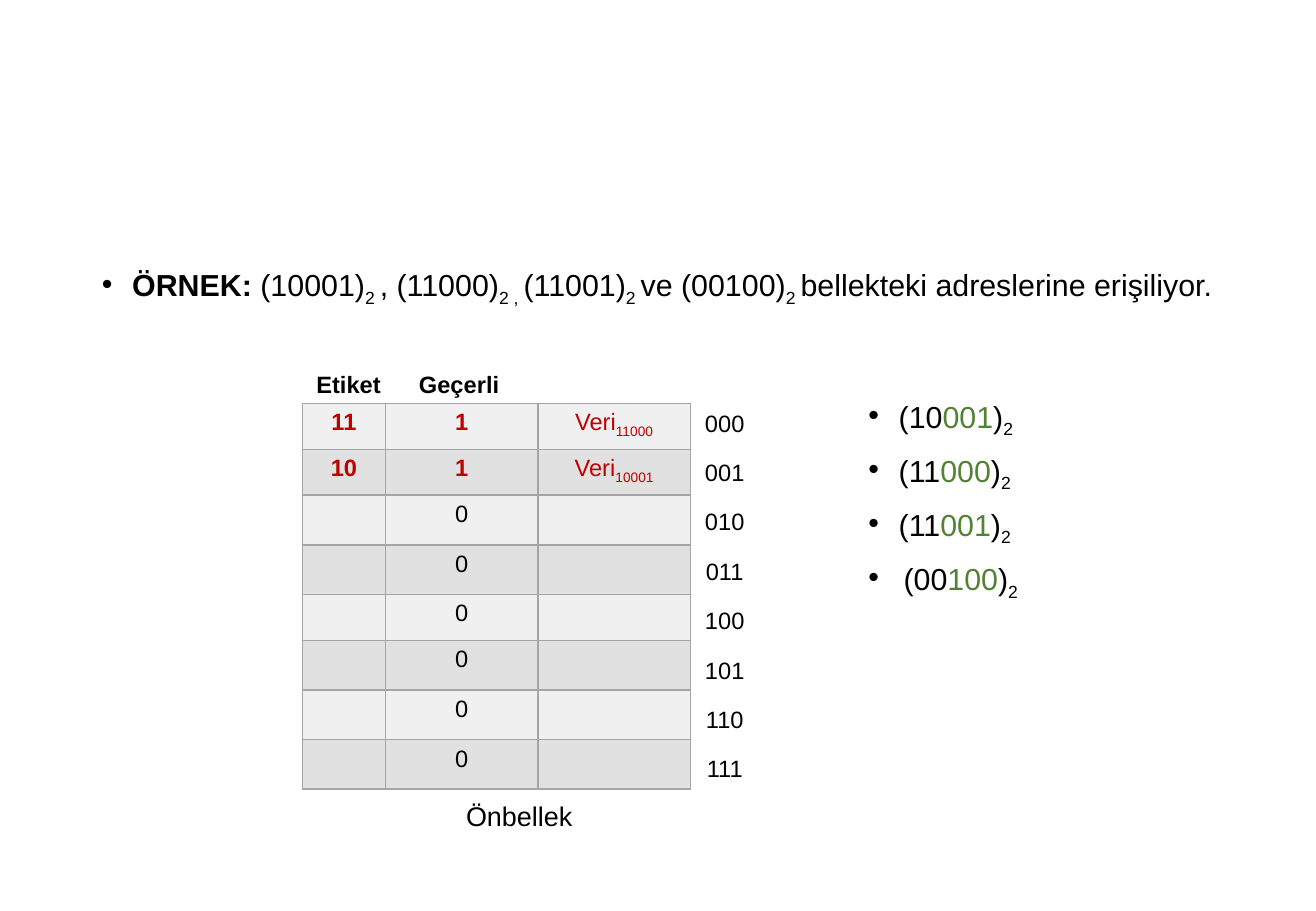
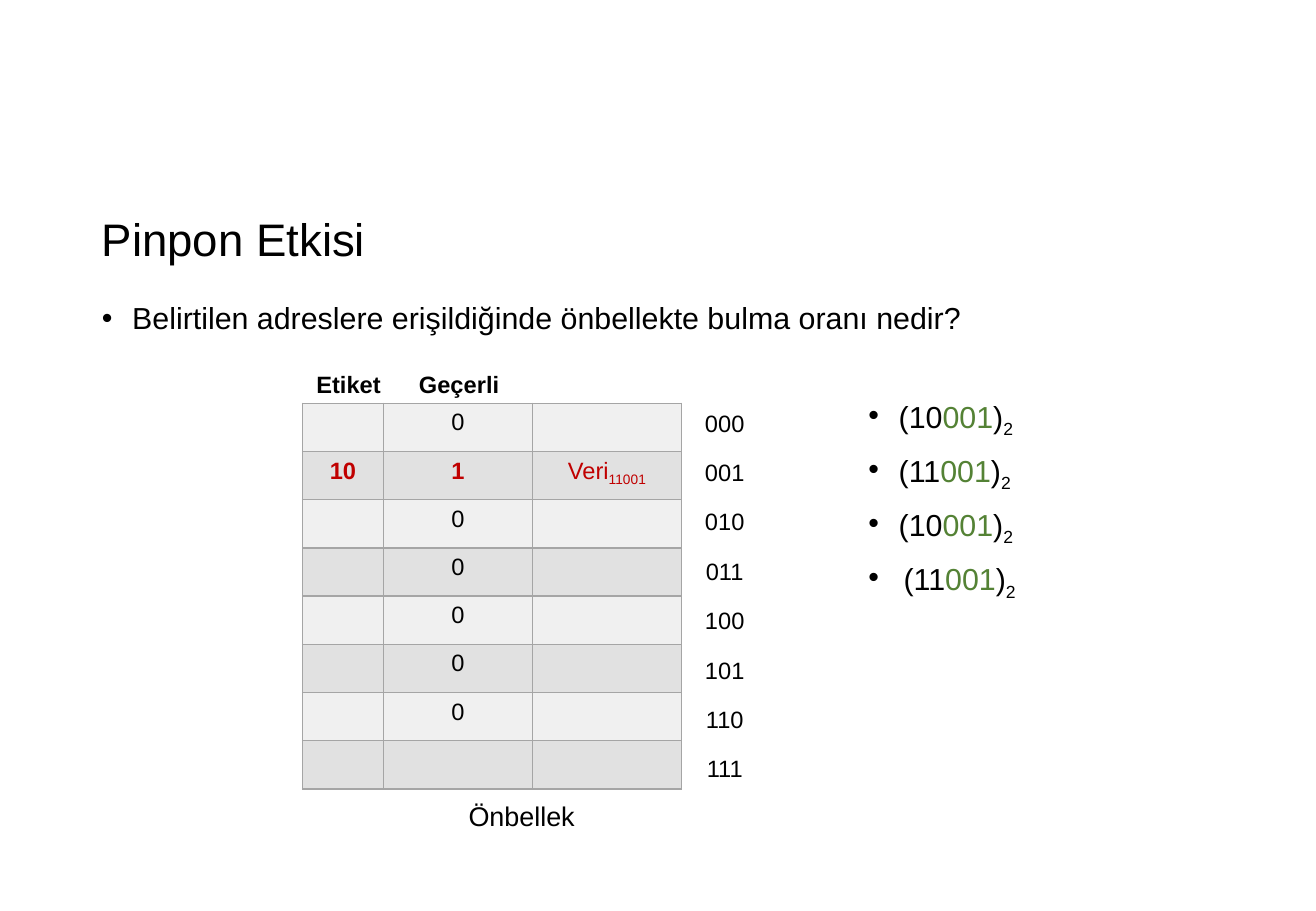
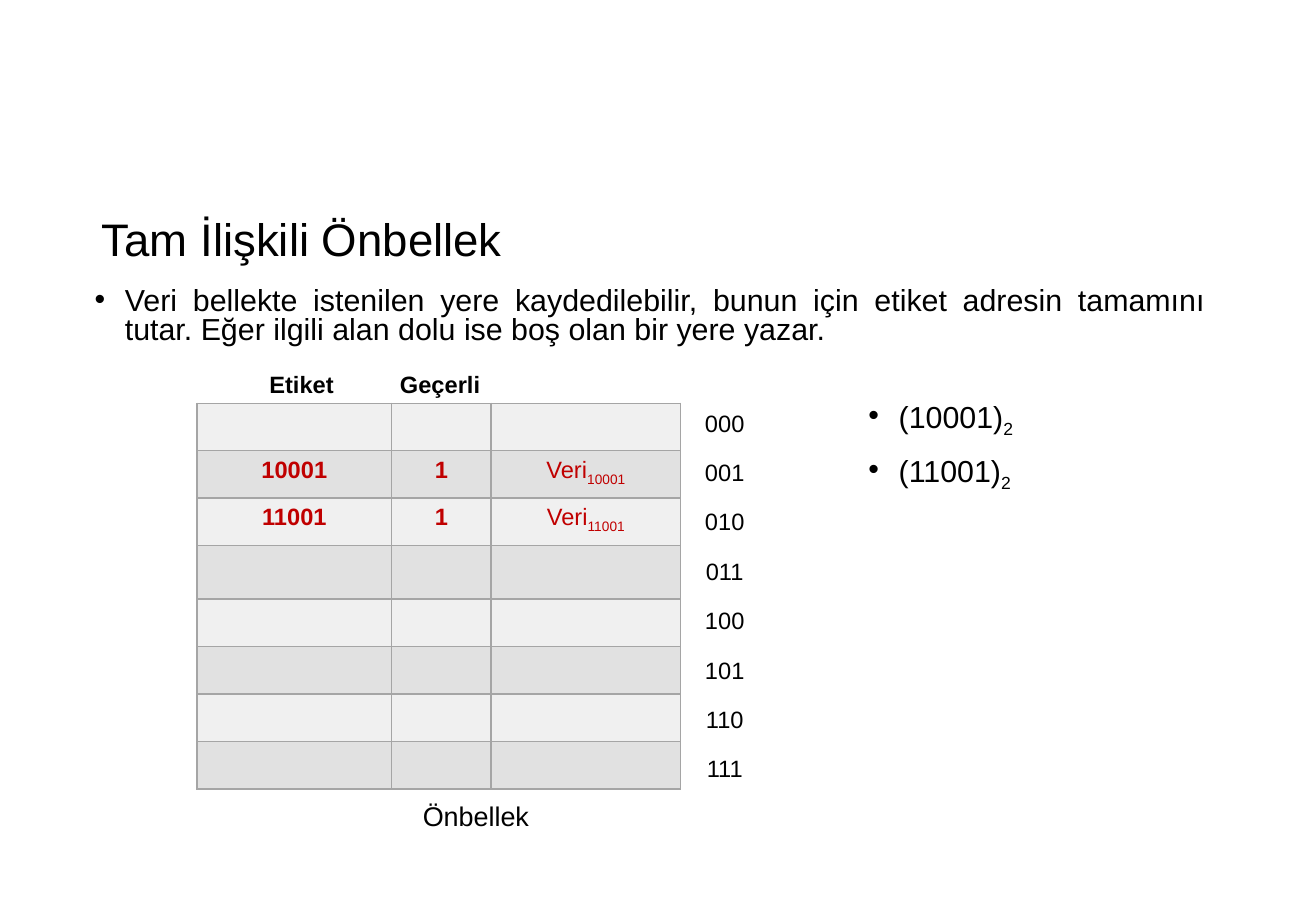
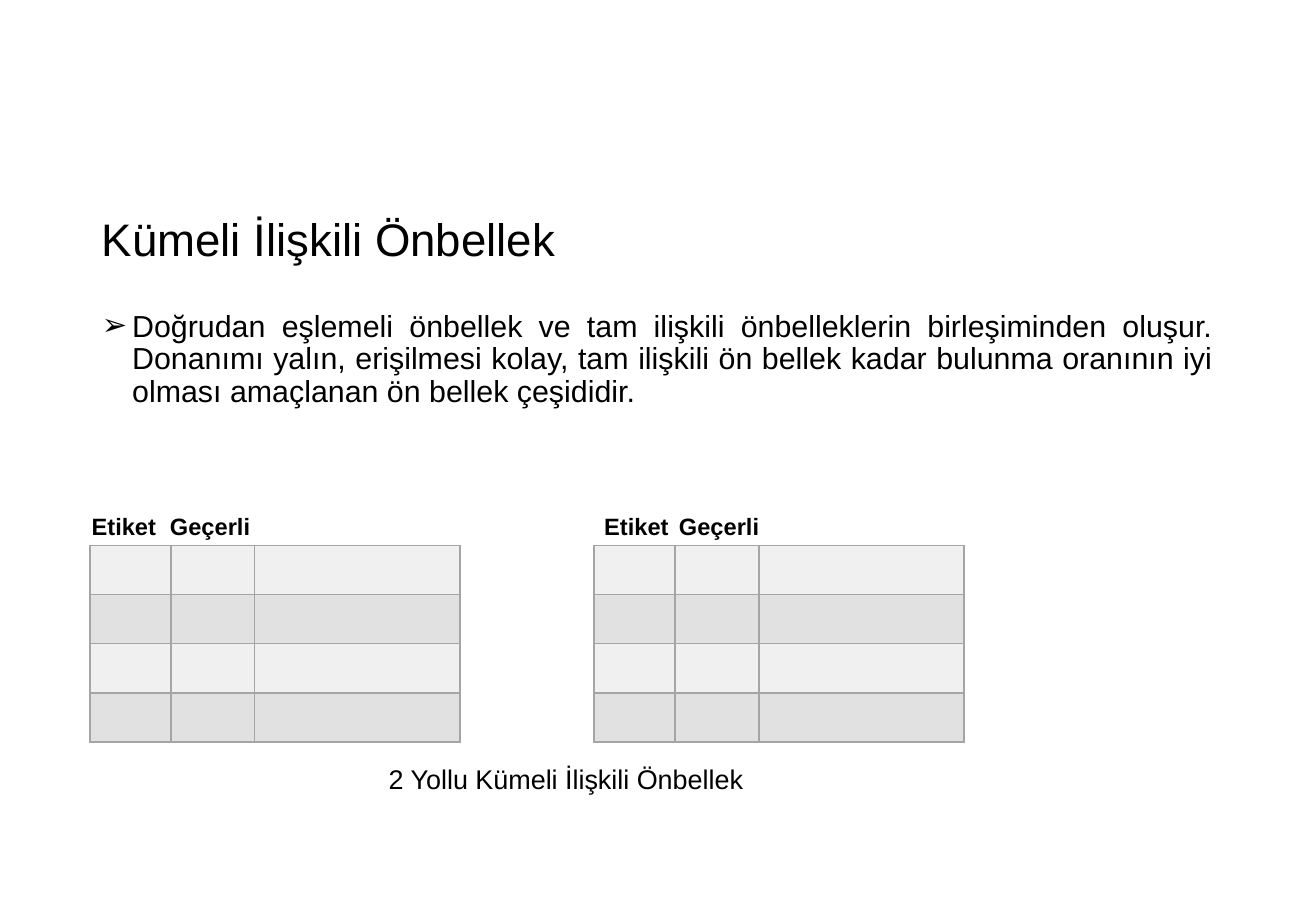
from lxml.etree import SubElement
from pptx import Presentation
from pptx.dml.color import RGBColor
from pptx.enum.text import MSO_ANCHOR, PP_ALIGN
from pptx.oxml import parse_xml
from pptx.oxml.ns import nsdecls, qn
from pptx.util import Emu, Inches, Pt

COLS, ROWS = 65, 45
WIDE, HIGH = Inches(COLS / 6), Inches(ROWS / 6)
FONT = "Arial"
INK, RED, GREEN = "000000", "C00000", "548235"
EDGE, BANDS = "A5A5A5", ("F0F0F0", "E1E1E1")
LEFT, SPAN = 4.44, 56.04
TOP, TALL = 19.92, 19.06
LIST = (42.3, 19.38, 17.82, 15.36)


def tint(code):
    """Turn a hex string into a colour."""
    return RGBColor.from_string(code)


def across(cols):
    """Turn grid columns into a length."""
    return Emu(round(WIDE * cols / COLS))


def down(rows):
    """Turn grid rows into a length."""
    return Emu(round(HIGH * rows / ROWS))


def place(box):
    """Turn a grid box into left, top, width and height."""
    x, y, w, h = box
    return across(x), down(y), across(w), down(h)


def write(para, parts, size, align=PP_ALIGN.CENTER):
    """Fill a paragraph with (text, marks) parts: b bold, s subscript, r red, g green."""
    para.alignment = align
    for text, marks in parts:
        run = para.add_run()
        run.text = text
        font = run.font
        font.name, font.size, font.bold = FONT, Pt(size), "b" in marks
        font.color.rgb = tint(RED if "r" in marks else GREEN if "g" in marks else INK)
        if "s" in marks:
            run._r.get_or_add_rPr().set("baseline", "-25000")


def frame(slide, box, anchor=MSO_ANCHOR.TOP):
    """Add a wrapping text box and return its text frame."""
    text = slide.shapes.add_textbox(*place(box)).text_frame
    text.word_wrap = True
    text.vertical_anchor = anchor
    return text


def label(slide, x, y, text, size=14, marks="", wide=8.76):
    """Centre a one-line label on a grid point."""
    box = (x - wide / 2, y - 1.5, wide, 3)
    write(frame(slide, box, MSO_ANCHOR.MIDDLE).paragraphs[0], [(text, marks)], size)


def title(slide, text):
    """Add the slide title."""
    para = frame(slide, (LEFT, 9.96, SPAN, 3.96), MSO_ANCHOR.MIDDLE).paragraphs[0]
    para.line_spacing = 0.9
    write(para, [(text, "")], 27, PP_ALIGN.LEFT)


def bullets(slide, box, items, mark="•", pitch=0.9, inset=0.25):
    """Add justified bullet items; the last one may sit deeper."""
    text = frame(slide, box)
    for i, parts in enumerate(items):
        para = text.add_paragraph() if i else text.paragraphs[0]
        deep = inset if i == len(items) - 1 else 0.25
        props = para._p.get_or_add_pPr()
        props.set("marL", str(Inches(deep)))
        props.set("indent", str(-Inches(deep)))
        SubElement(props, qn("a:buFont"), typeface=FONT)
        SubElement(props, qn("a:buChar"), char=mark)
        para.line_spacing = pitch
        if i:
            para.space_before = Pt(10)
        write(para, parts, 18, PP_ALIGN.JUSTIFY)


def paint(cell, shade):
    """Fill a cell and rule its four sides."""
    cell.fill.solid()
    cell.fill.fore_color.rgb = tint(shade)
    props = cell._tc.get_or_add_tcPr()
    for i, side in enumerate("LRTB"):
        props.insert(i, parse_xml(
            f'<a:ln{side} {nsdecls("a")} w="{Pt(1)}"><a:solidFill>'
            f'<a:srgbClr val="{EDGE}"/></a:solidFill></a:ln{side}>'))


def grid(slide, box, cols, rows, cells, heads):
    """Add a cache table with its two column heads above the box."""
    x, y, w, h = box
    table = slide.shapes.add_table(len(rows), len(cols), *place(box)).table
    table.first_row = table.horz_banding = False
    for col, share in zip(table.columns, cols):
        col.width = across(w * share / sum(cols))
    for r, (row, share) in enumerate(zip(table.rows, rows)):
        row.height = down(h * share / sum(rows))
        for c, cell in enumerate(row.cells):
            paint(cell, BANDS[r % 2])
            para = cell.text_frame.paragraphs[0]
            write(para, cells.get((r, c), []), 14)
            para._p.get_or_add_endParaRPr().set("sz", "1400")
    for text, shift in zip(("Etiket", "Geçerli"), heads):
        label(slide, x + shift, y - 0.95, text, marks="b")


def fill(used, zeros=()):
    """Map used lines and zero flags to table cells."""
    cells = {(r, 1): [("0", "")] for r in zeros}
    for r, (tag, data) in used.items():
        cells[r, 0] = [(tag, "rb")]
        cells[r, 1] = [("1", "rb")]
        cells[r, 2] = [("Veri", "r"), (data, "rs")]
    return cells


def cache(slide, box, cols, rows, cells, heads, mid):
    """Add an eight-line cache with its index labels and caption."""
    x, y, w, h = box
    grid(slide, box, cols, rows, cells, heads)
    for i in range(8):
        label(slide, 35.8, y + 0.96 + 2.44 * i, f"{i:03b}", wide=4.38)
    label(slide, x + mid, y + h + 1.3, "Önbellek", 16, wide=11.58)


def binary(bits, key=0):
    """Write an address in base two with its last key bits in green."""
    cut = len(bits) - key
    parts = [("(" + bits[:cut], ""), (bits[cut:], "g"), (")", ""), ("2", "s")]
    return [part for part in parts if part[0]]


def direct(slide):
    """Build the direct mapping example."""
    lead = [("ÖRNEK: ", "b"), *binary("10001"), (" ", "s"), (", ", ""),
            *binary("11000"), (" , ", "s"), *binary("11001"), (" ", "s"),
            ("ve ", ""), *binary("00100"), (" ", "s"),
            ("bellekteki adreslerine erişiliyor.", "")]
    bullets(slide, (LEFT, 12.9, SPAN, 5), [lead])
    cells = fill({0: ("11", "11000"), 1: ("10", "10001")}, range(2, 8))
    cache(slide, (14.94, TOP, 19.16, TALL), (4.1, 7.53, 7.53),
          (38, 38, 41, 41, 38, 41, 41, 41), cells, (2.28, 7.74), 10.71)
    bullets(slide, LIST, [binary(b, 3) for b in ("10001", "11000", "11001", "00100")],
            inset=0.29)


def pinpon(slide):
    """Build the ping-pong slide."""
    title(slide, "Pinpon Etkisi")
    bullets(slide, (LEFT, 14.7, SPAN, 2.58), [[(
        "Belirtilen adreslere erişildiğinde önbellekte bulma oranı nedir?", "")]])
    cells = fill({1: ("10", "11001")}, (0, *range(2, 7)))
    cache(slide, (14.94, TOP, 18.72, TALL), (4, 7.36, 7.36), [1] * 8, cells,
          (2.28, 7.74), 10.83)
    bullets(slide, LIST, [binary(b, 3) for b in ("10001", "11001") * 2], inset=0.29)


def full(slide):
    """Build the fully associative slide."""
    title(slide, "Tam İlişkili Önbellek")
    bullets(slide, (4.08, 13.92, SPAN, 3.54), [[(
        "Veri bellekte istenilen yere kaydedilebilir, bunun için etiket adresin "
        "tamamını tutar. Eğer ilgili alan dolu ise boş olan bir yere yazar.", "")]],
        pitch=0.8)
    cells = fill({1: ("10001", "10001"), 2: ("11001", "11001")})
    cache(slide, (9.74, TOP, 23.88, TALL), (9.6, 4.92, 9.36),
          (39, 39, 39, 44, 39, 39, 39, 39), cells, (5.16, 12), 13.77)
    bullets(slide, LIST, [binary(b) for b in ("10001", "11001")])


def sets(slide):
    """Build the set associative slide."""
    title(slide, "Kümeli İlişkili Önbellek")
    bullets(slide, (LEFT, 15.06, SPAN, 25.44), [[(
        "Doğrudan eşlemeli önbellek ve tam ilişkili önbelleklerin birleşiminden "
        "oluşur. Donanımı yalın, erişilmesi kolay, tam ilişkili ön bellek kadar "
        "bulunma oranının iyi olması amaçlanan ön bellek çeşididir.", "")]], "➢")
    for x, heads in ((LEFT, (1.68, 5.94)), (29.34, (2.1, 6.18))):
        grid(slide, (x, 26.94, 18.28, 9.72), (4, 4.14, 10.14), [1] * 4, {}, heads)
    label(slide, 27.96, 38.49, "2 Yollu Kümeli İlişkili Önbellek", 16, wide=23.04)


def main():
    """Build and save the deck."""
    deck = Presentation()
    deck.slide_width, deck.slide_height = WIDE, HIGH
    for build in (direct, pinpon, full, sets):
        build(deck.slides.add_slide(deck.slide_layouts[6]))
    deck.save("out.pptx")


if __name__ == "__main__":
    main()
